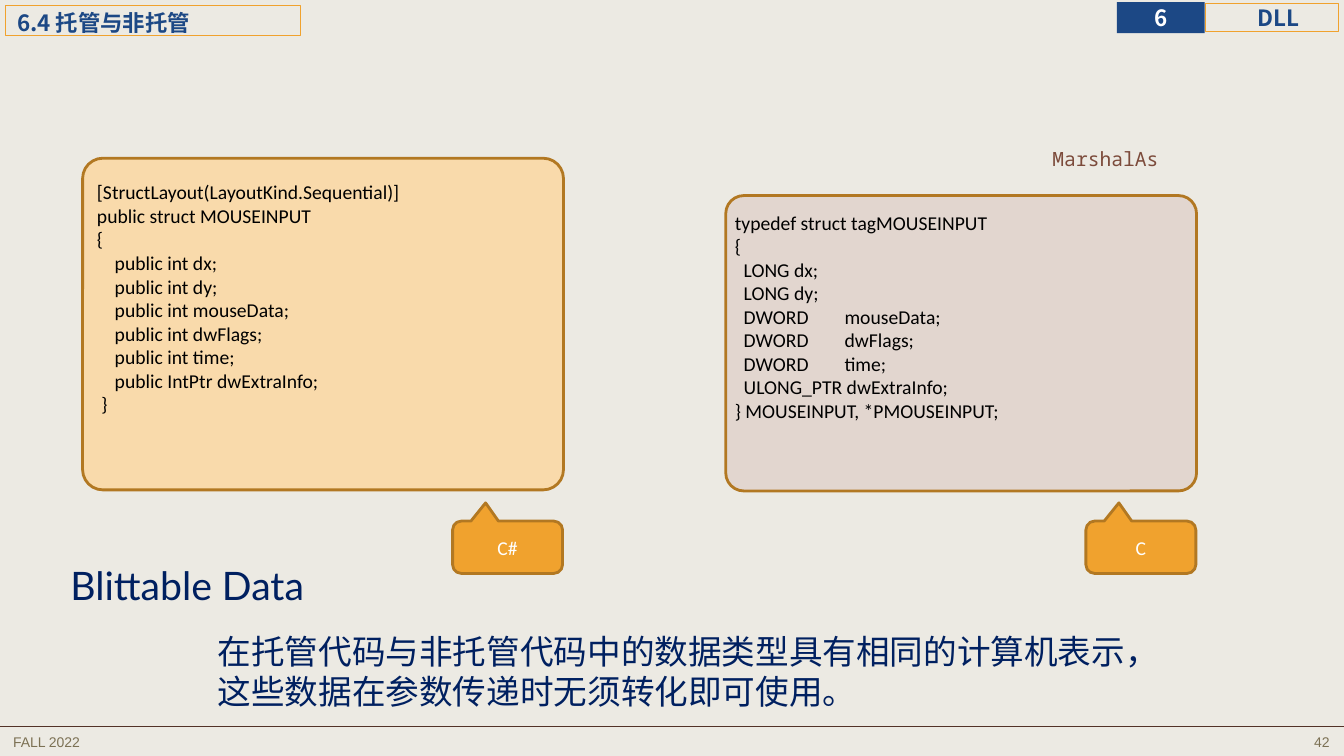
"""Build the slide that compares a managed and an unmanaged struct."""
from pptx import Presentation
from pptx import util as u
from pptx.dml.color import RGBColor
from pptx.enum import shapes, text
from pptx.oxml.ns import qn
from lxml import etree

WIDTH, HEIGHT = u.Inches(13.33), u.Inches(7.5)
CJK = "Noto Sans CJK SC"
NAVY, INK, AMBER, BROWN = "1C4885", "002060", "F0A22E", "B27822"
SPACE = 0.044
LEFT, CENTER, RIGHT = text.PP_ALIGN.LEFT, text.PP_ALIGN.CENTER, text.PP_ALIGN.RIGHT
TOP, MIDDLE = text.MSO_ANCHOR.TOP, text.MSO_ANCHOR.MIDDLE
BADGE_INSETS = (0.12, 0, 0, 0)

CSHARP_STRUCT = [
    (1, "[StructLayout(LayoutKind.Sequential)]"),
    (1, "public struct MOUSEINPUT"),
    (1, "{"),
    (5, "public int dx;"),
    (5, "public int dy;"),
    (5, "public int mouseData;"),
    (5, "public int dwFlags;"),
    (5, "public int time;"),
    (5, "public IntPtr dwExtraInfo;"),
    (2, "}"),
]
C_STRUCT = [
    (0, "typedef struct tagMOUSEINPUT"),
    (0, "{"),
    (2, "LONG\tdx;", 0.81),
    (2, "LONG\tdy;", 0.81),
    (2, "DWORD\tmouseData;", 0.95),
    (2, "DWORD\tdwFlags;", 0.95),
    (2, "DWORD\ttime;", 0.95),
    (2, "ULONG_PTR dwExtraInfo;"),
    (0, "} MOUSEINPUT, *PMOUSEINPUT;"),
]


def rgb(color):
    """Turn a hex string into a colour."""
    return RGBColor.from_string(color)


def area(left, top, width, height):
    """Turn percentages of the slide into left, top, width and height."""
    return (int(WIDTH * left / 100), int(HEIGHT * top / 100),
            int(WIDTH * width / 100), int(HEIGHT * height / 100))


def place(holder, where):
    """Move a placeholder to an area of the slide."""
    holder.left, holder.top, holder.width, holder.height = area(*where)
    return holder


def paint(shape, fill=None, line=None, weight=0.75):
    """Set the fill and outline of a shape, either of which may be absent."""
    if fill:
        shape.fill.solid()
        shape.fill.fore_color.rgb = rgb(fill)
    else:
        shape.fill.background()
    if line:
        shape.line.color.rgb = rgb(line)
        shape.line.width = u.Pt(weight)
    else:
        shape.line.fill.background()


def write(shape, lines, size=14, font="Calibri", color="000000", bold=False,
          align=LEFT, anchor=TOP, insets=(0.1, 0.05, 0.1, 0.05), wrap=True,
          spacing=1.0, around=0):
    """Write lines of text into a shape with one format."""
    frame = shape.text_frame
    frame.auto_size = text.MSO_AUTO_SIZE.NONE
    frame.word_wrap = wrap
    frame.vertical_anchor = anchor
    (frame.margin_left, frame.margin_top,
     frame.margin_right, frame.margin_bottom) = map(u.Inches, insets)
    frame.text = "\n".join(lines)
    for paragraph in frame.paragraphs:
        paragraph.alignment = align
        paragraph.line_spacing = spacing
        paragraph.space_before = paragraph.space_after = u.Pt(around)
        for run in paragraph.runs:
            run.font.size, run.font.name, run.font.bold = u.Pt(size), font, bold
            run.font.color.rgb = rgb(color)
            east_asian = etree.SubElement(run.font._element, qn("a:ea"))
            east_asian.set("typeface", font)


def add_label(slide, where, label, **style):
    """Add a text box with one line."""
    write(slide.shapes.add_textbox(*area(*where)), [label], **style)


def add_block(slide, kind, where, adjustments=(), **look):
    """Add a painted preset shape without a shadow."""
    block = slide.shapes.add_shape(kind, *area(*where))
    block.shadow.inherit = False
    for index, value in enumerate(adjustments):
        block.adjustments[index] = value
    paint(block, **look)
    return block


def add_badge(slide, where, label, color, insets, fill=None, line=None):
    """Add a chapter badge to the header."""
    badge = add_block(slide, shapes.MSO_SHAPE.RECTANGLE, where, fill=fill, line=line)
    write(badge, [label], size=16, font=CJK, color=color, bold=True,
          align=CENTER, anchor=MIDDLE, insets=insets)


def add_code_panel(slide, panel_area, code_area, code, fill):
    """Add a rounded panel with indented code on it."""
    add_block(slide, shapes.MSO_SHAPE.ROUNDED_RECTANGLE, panel_area, [0.061],
              fill=fill, line=BROWN, weight=2)
    listing = slide.shapes.add_textbox(*area(*code_area))
    write(listing, [row[1] for row in code])
    for paragraph, (spaces, _, *stops) in zip(listing.text_frame.paragraphs, code):
        properties = paragraph._p.get_or_add_pPr()
        properties.set("marL", str(u.Inches(spaces * SPACE)))
        properties.set("indent", "0")
        if stops:
            tabs = etree.SubElement(properties, qn("a:tabLst"))
            etree.SubElement(tabs, qn("a:tab"), pos=str(u.Inches(stops[0])), algn="l")


def add_language_callout(slide, left, language):
    """Add a callout that names the language of the panel above it."""
    callout = add_block(slide, shapes.MSO_SHAPE.ROUNDED_RECTANGULAR_CALLOUT,
                        (left, 68.93, 8.18, 6.93), [-0.2, -0.848, 0.167],
                        fill=AMBER, line=BROWN, weight=2)
    write(callout, [language], color="FFFFFF", align=CENTER, anchor=MIDDLE)


def add_footer(slide):
    """Add the footer rule, the term and the page number."""
    left, top, width, _ = area(0, 96.13, 100, 0)
    rule = slide.shapes.add_connector(shapes.MSO_CONNECTOR.STRAIGHT,
                                      left, top, left + width, top)
    rule.line.color.rgb = rgb("523227")
    rule.line.width = u.Pt(0.5)
    etree.SubElement(rule._element.spPr, qn("a:effectLst"))
    for start, label, align in ((0.23, "FALL 2022", LEFT), (78.83, "42", RIGHT)):
        add_label(slide, (start, 96.4, 20.85, 4.13), label, size=10,
                  font="Arial", color="7C7154", align=align)


def fill_placeholders(slide):
    """Write the section title and the explanation."""
    section = place(slide.shapes.title, (0.38, 0.67, 21.98, 4))
    paint(section, line=AMBER)
    write(section, ["6.4 托管与非托管"], size=16, font=CJK, color=NAVY, bold=True,
          anchor=MIDDLE, insets=BADGE_INSETS, spacing=1.2, around=1.6)
    explanation = place(slide.placeholders[1], (15.45, 82.8, 72.24, 12.13))
    write(explanation, ["在托管代码与非托管代码中的数据类型具有相同的计算机表示，",
                        "这些数据在参数传递时无须转化即可使用。"],
          size=24, font=CJK, color=INK, wrap=False)
    for paragraph in explanation.text_frame.paragraphs:
        properties = paragraph._p.get_or_add_pPr()
        properties.set("marL", "0")
        properties.set("indent", "0")
        etree.SubElement(properties, qn("a:buNone"))


def main():
    """Build and save the slide."""
    deck = Presentation()
    deck.slide_width, deck.slide_height = WIDTH, HEIGHT
    slide = deck.slides.add_slide(deck.slide_layouts[1])
    slide.background.fill.solid()
    slide.background.fill.fore_color.rgb = rgb("ECEAE3")

    add_footer(slide)
    add_badge(slide, (89.7, 0.53, 9.9, 3.6), "DLL", NAVY, BADGE_INSETS, line=AMBER)
    add_badge(slide, (83.1, 0.27, 6.53, 4.13), "6", "FFFFFF", (0, 0, 0, 0), fill=NAVY)
    fill_placeholders(slide)

    add_code_panel(slide, (6.15, 20.93, 35.78, 43.87), (6.15, 23.2, 35.78, 41.73),
                   CSHARP_STRUCT, "F9DAAB")
    add_code_panel(slide, (54, 25.87, 35.03, 39.07), (53.94, 27.2, 35.1, 29.6),
                   C_STRUCT, "E2D6CF")
    add_language_callout(slide, 33.68, "C#")
    add_language_callout(slide, 80.8, "C")
    add_label(slide, (4.5, 73.6, 19.5, 7.6), "Blittable Data", size=28,
              font="Lato", color=INK)
    add_label(slide, (77.57, 18.8, 11.48, 4.53), "MarshalAs",
              font="Noto Sans Mono", color="7C4B3B")
    deck.save("out.pptx")


if __name__ == "__main__":
    main()
